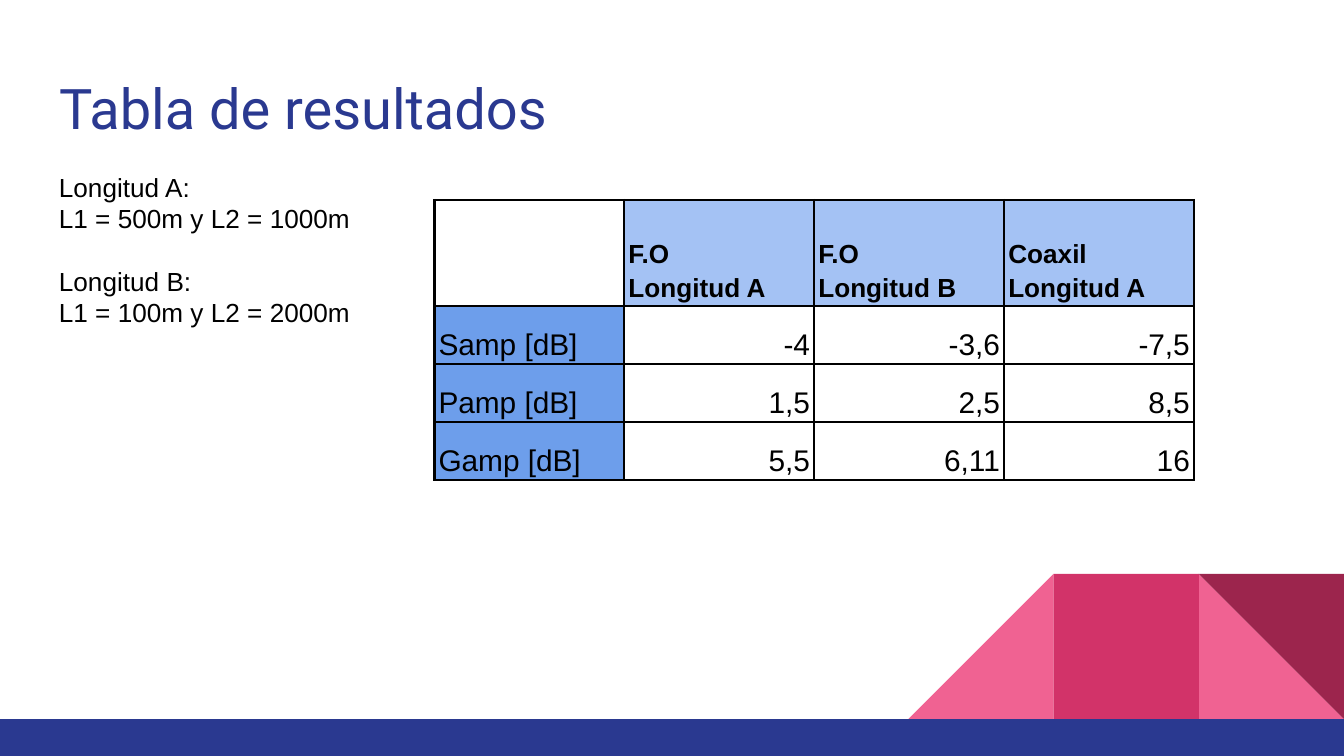
import pptx
import pptx.dml.color
import pptx.enum.shapes
import pptx.enum.text
import pptx.oxml
import pptx.oxml.ns
import pptx.util

Pt = pptx.util.Pt
RGBColor = pptx.dml.color.RGBColor
MSO_SHAPE = pptx.enum.shapes.MSO_SHAPE
MSO_ANCHOR = pptx.enum.text.MSO_ANCHOR
PP_ALIGN = pptx.enum.text.PP_ALIGN

BLACK = RGBColor(0x00, 0x00, 0x00)
NAVY = RGBColor(0x2A, 0x39, 0x90)
PINK = RGBColor(0xF0, 0x62, 0x92)
MAGENTA = RGBColor(0xD2, 0x33, 0x69)
WINE = RGBColor(0x9C, 0x25, 0x4D)
HEADER_BLUE = RGBColor(0xA4, 0xC2, 0xF4)
LABEL_BLUE = RGBColor(0x6D, 0x9E, 0xEB)

WIDTH, HEIGHT = 720, 405


class SlideBuilder:
    title_font = "Roboto"
    body_font = "Arial"
    inset = 7.2

    def __init__(self, prs):
        self.s = prs.slides.add_slide(prs.slide_layouts[5])

    def add_run(self, p, text, size, color=BLACK, font=body_font, bold=False):
        r = p.add_run()
        r.text = text
        r.font.size = Pt(size)
        r.font.name = font
        r.font.bold = bold
        r.font.color.rgb = color

    def set_frame(self, tf):
        tf.word_wrap = True
        tf.auto_size = pptx.enum.text.MSO_AUTO_SIZE.NONE
        tf.vertical_anchor = MSO_ANCHOR.TOP
        tf.margin_left = tf.margin_right = Pt(self.inset)
        tf.margin_top = tf.margin_bottom = Pt(self.inset)

    def shape(self, kind, x, y, w, h, color, rotation=0):
        sp = self.s.shapes.add_shape(kind, Pt(x), Pt(y), Pt(w), Pt(h))
        sp.shadow.inherit = False
        sp.fill.solid()
        sp.fill.fore_color.rgb = color
        sp.line.fill.background()
        sp.rotation = rotation

    def title(self, text, x, y, w, h):
        sp = self.s.shapes.title
        sp.left, sp.top, sp.width, sp.height = Pt(x), Pt(y), Pt(w), Pt(h)
        self.set_frame(sp.text_frame)
        p = sp.text_frame.paragraphs[0]
        p.alignment = PP_ALIGN.LEFT
        self.add_run(p, text, 30, NAVY, self.title_font)

    def text(self, groups, x, y, w, h, size, gap):
        """Add groups of lines, with a gap between groups."""
        tf = self.s.shapes.add_textbox(Pt(x), Pt(y), Pt(w), Pt(h)).text_frame
        self.set_frame(tf)
        p = tf.paragraphs[0]
        for g, lines in enumerate(groups):
            for i, line in enumerate(lines):
                if g or i:
                    p = tf.add_paragraph()
                if g and i == 0:
                    p.space_before = Pt(gap)
                self.add_run(p, line, size)

    def border(self, cell, width):
        tc_pr = cell._tc.get_or_add_tcPr()
        for side in "LRTB":
            tc_pr.append(pptx.oxml.parse_xml(
                f'<a:ln{side} {pptx.oxml.ns.nsdecls("a")} w="{Pt(width)}">'
                f'<a:solidFill><a:srgbClr val="{BLACK}"/></a:solidFill>'
                f'</a:ln{side}>'))

    def cell(self, cell, text, size, fill=None, bold=False, align=PP_ALIGN.LEFT):
        self.border(cell, 1.5)
        if fill is None:
            cell.fill.background()
        else:
            cell.fill.solid()
            cell.fill.fore_color.rgb = fill
        cell.vertical_anchor = MSO_ANCHOR.BOTTOM
        cell.margin_left = cell.margin_right = Pt(2.25)
        cell.margin_top = cell.margin_bottom = Pt(1.5)
        if not text:
            return
        tf = cell.text_frame
        for i, line in enumerate(text.split("\n")):
            p = tf.add_paragraph() if i else tf.paragraphs[0]
            p.alignment = align
            p.line_spacing = 1.15
            self.add_run(p, line, size, bold=bold)

    def table(self, rows, x, y, col_width, row_heights):
        n_cols = len(rows[0])
        table = self.s.shapes.add_table(
            len(rows), n_cols, Pt(x), Pt(y),
            Pt(col_width * n_cols), Pt(sum(row_heights))).table
        table.first_row = table.horz_banding = False
        for col in table.columns:
            col.width = Pt(col_width)
        for i, values in enumerate(rows):
            table.rows[i].height = Pt(row_heights[i])
            for j, value in enumerate(values):
                cell = table.cell(i, j)
                if i == 0:
                    self.cell(cell, value, 14, HEADER_BLUE if j else None, bold=True)
                elif j == 0:
                    self.cell(cell, value, 16, LABEL_BLUE)
                else:
                    self.cell(cell, value, 16, align=PP_ALIGN.RIGHT)


def main():
    prs = pptx.Presentation()
    prs.slide_width, prs.slide_height = Pt(WIDTH), Pt(HEIGHT)
    b = SlideBuilder(prs)

    # Corner decoration: square tiles standing on the bottom bar
    tile = 77.8
    bar_top = 385.2
    tiles = [
        (MSO_SHAPE.RIGHT_TRIANGLE, 1, PINK, 0),
        (MSO_SHAPE.RIGHT_TRIANGLE, 3, PINK, 270),
        (MSO_SHAPE.RECTANGLE, 2, MAGENTA, 0),
        (MSO_SHAPE.RIGHT_TRIANGLE, 1, WINE, 180),
    ]
    for kind, from_right, color, rotation in tiles:
        b.shape(kind, WIDTH - from_right * tile, bar_top - tile,
                tile, tile, color, rotation)
    b.shape(MSO_SHAPE.RECTANGLE, 0, bar_top, WIDTH, HEIGHT - bar_top, NAVY)

    # Title
    b.title("Tabla de resultados", 24.5, 32.4, 671, 47.5)

    # Results table
    b.table([
        ["", "F.O\nLongitud A", "F.O\nLongitud B", "Coaxil\nLongitud A"],
        ["Samp [dB]", "-4", "-3,6", "-7,5"],
        ["Pamp [dB]", "1,5", "2,5", "8,5"],
        ["Gamp [dB]", "5,5", "6,11", "16"],
    ], 232.7, 107.2, 101.75, [56.8] + [31.1] * 3)

    # Cable lengths
    b.text([
        ["Longitud A:", "L1 = 500m y L2 = 1000m"],
        ["Longitud B:", "L1 = 100m y L2 = 2000m"],
    ], 24.5, 84.5, 236, 236, size=14, gap=16.8)

    prs.save("out.pptx")


if __name__ == "__main__":
    main()
